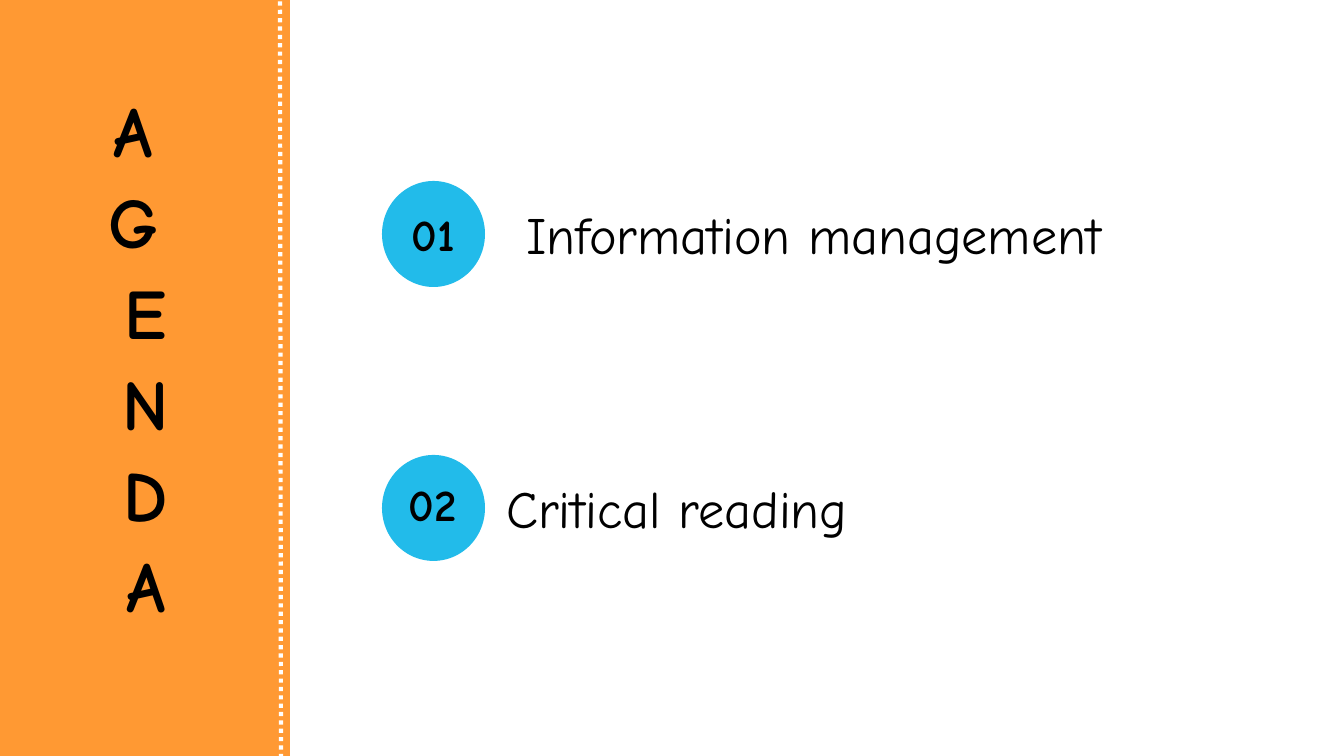
from pptx import Presentation
from pptx.util import Pt
from pptx.dml.color import RGBColor
from pptx.enum.dml import MSO_LINE
from pptx.enum.shapes import MSO_SHAPE as Geo, MSO_CONNECTOR as Link
from pptx.enum.text import PP_ALIGN as Align, MSO_ANCHOR as Anchor
from pptx.oxml.ns import qn
from lxml.etree import SubElement

TITLE = ["A ", "G ", "E", "N", "D", "A"]
ITEMS = [
    ("01", (388, 27, 91), "Information management", 487, Align.CENTER),
    ("02", (386, 23, 94), "Critical reading", 493, Align.LEFT),
]
ORANGE, BLUE, WHITE, BLACK = "FF9933", "22BBEA", "FFFFFF", "000000"
FONT = "Comic Neue"
TOP, STEP = 181, 274


def px(n):
    return round(n * 914400 / 134.4)


def color(code):
    return RGBColor.from_string(code)


def add_form(kind, box, fill):
    form = slide.shapes.add_shape(kind, *map(px, box))
    form.shadow.inherit = False
    form.fill.solid()
    form.fill.fore_color.rgb = color(fill)
    form.line.fill.background()


def add_text(box, lines, size, bold=False, align=Align.CENTER,
             anchor=Anchor.MIDDLE, before=3.2, inset=7):
    frame = slide.shapes.add_textbox(*map(px, box)).text_frame
    frame.word_wrap = True
    frame.vertical_anchor = anchor
    frame.margin_top = px(inset)
    frame.text = "\n".join(lines)
    for para in frame.paragraphs:
        para.alignment = align
        para.space_before = Pt(before)
        para.font.name = FONT
        para.font.size = Pt(size)
        para.font.bold = bold
        para.font.color.rgb = color(BLACK)


deck = Presentation()
deck.slide_width, deck.slide_height = px(1344), px(756)
slide = deck.slides.add_slide(deck.slide_layouts[6])

add_form(Geo.RECTANGLE, (-3, 0, 293, 756), ORANGE)
add_text((11, 325, 270, 63), TITLE, 38, bold=True)

seam = slide.shapes.add_connector(Link.STRAIGHT, px(281), px(758), px(280), 0)
seam.line.color.rgb = color(WHITE)
seam.line.width = Pt(2.25)
seam.line.dash_style = MSO_LINE.ROUND_DOT
SubElement(seam.element.spPr, qn("a:effectLst"))

for row, (num, (left, drop, wide), topic, start, align) in enumerate(ITEMS):
    top = TOP + row * STEP
    add_form(Geo.OVAL, (382, top, 103, 106), BLUE)
    add_text((left, top + drop, wide, 50), [num], 24, bold=True)
    add_text((start, top - 5, 653, 105), [topic], 28, align=align,
             anchor=Anchor.TOP, before=0, inset=26)

deck.save("out.pptx")
